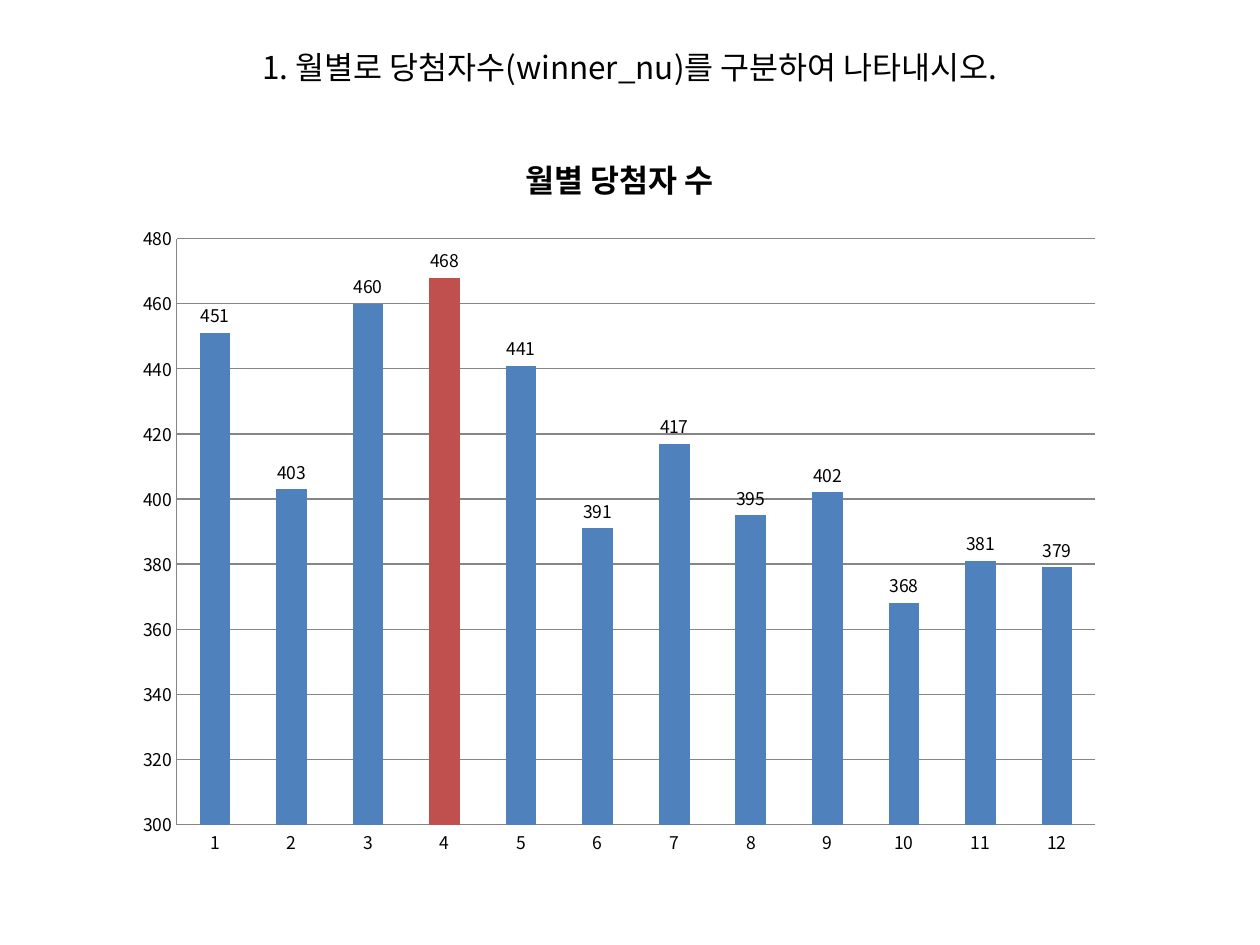
import dataclasses
import pptx
import pptx.chart.data
import pptx.dml.color
import pptx.enum.chart
import pptx.enum.text
import pptx.oxml
import pptx.oxml.ns
import pptx.util
from pptx.util import Inches


@dataclasses.dataclass(frozen=True)
class Theme:
    """Colours, typeface and type sizes of the slide."""
    font: str = "Noto Sans CJK KR"
    text: str = "000000"
    bar: str = "4F81BD"
    highlight: str = "C0504D"
    line: str = "868686"
    heading_size: int = 18
    label_size: int = 10


THEME = Theme()
WINNERS = (451, 403, 460, 468, 441, 391, 417, 395, 402, 368, 381, 379)


def colour(value):
    """Return an RGB colour for a hex value."""
    return pptx.dml.color.RGBColor.from_string(value)


def style_font(font, size, bold=False):
    """Apply the theme typeface and colour at the given size."""
    font.name = THEME.font
    font.size = pptx.util.Pt(size)
    font.bold = bold
    font.color.rgb = colour(THEME.text)


def add_east_asian_fonts(root):
    """Give every Latin typeface under root a matching East Asian one."""
    for latin in list(root.iter(pptx.oxml.ns.qn("a:latin"))):
        east_asian = pptx.oxml.parse_xml(
            f'<a:ea {pptx.oxml.ns.nsdecls("a")} typeface="{THEME.font}"/>')
        latin.addnext(east_asian)


def write_text(frame, text, size, bold=False, align=None):
    """Write one formatted paragraph into a text frame."""
    para = frame.paragraphs[0]
    para.alignment = align
    span = para.add_run()
    span.text = text
    style_font(span.font, size, bold)


def add_text(page, text, left, top, width, height, **text_format):
    """Add a wrapping text box."""
    box = page.shapes.add_textbox(left, top, width, height)
    box.text_frame.word_wrap = True
    box.text_frame.auto_size = pptx.enum.text.MSO_AUTO_SIZE.SHAPE_TO_FIT_TEXT
    write_text(box.text_frame, text, **text_format)
    add_east_asian_fonts(box.element)


def style_line(line):
    """Draw a thin grey chart line."""
    line.color.rgb = colour(THEME.line)
    line.width = pptx.util.Pt(0.75)


def style_axes(chart):
    """Set the scale, gridlines and lines of both axes."""
    value_axis = chart.value_axis
    value_axis.minimum_scale = 300
    value_axis.maximum_scale = 480
    value_axis.major_unit = 20
    value_axis.has_major_gridlines = True
    style_line(value_axis.major_gridlines.format.line)
    for axis in (value_axis, chart.category_axis):
        axis.major_tick_mark = pptx.enum.chart.XL_TICK_MARK.NONE
        axis.minor_tick_mark = pptx.enum.chart.XL_TICK_MARK.NONE
        style_line(axis.format.line)


def add_column_chart(page, title, values, left, top, width, height):
    """Add a monthly column chart with its highest month highlighted."""
    chart_data = pptx.chart.data.CategoryChartData()
    chart_data.categories = [str(month) for month in range(1, len(values) + 1)]
    chart_data.add_series("Series 1", values)
    chart = page.shapes.add_chart(
        pptx.enum.chart.XL_CHART_TYPE.COLUMN_CLUSTERED,
        left, top, width, height, chart_data).chart
    style_font(chart.font, THEME.label_size)
    chart.has_legend = False
    chart.has_title = True
    write_text(chart.chart_title.text_frame, title, THEME.heading_size, bold=True)
    chart.chart_title.include_in_layout = False
    style_axes(chart)
    plot = chart.plots[0]
    plot.gap_width = 150
    plot.vary_by_categories = False
    series = plot.series[0]
    series.invert_if_negative = False
    series.format.fill.solid()
    series.format.fill.fore_color.rgb = colour(THEME.bar)
    peak = series.points[values.index(max(values))].format.fill
    peak.solid()
    peak.fore_color.rgb = colour(THEME.highlight)
    labels = series.data_labels
    labels.show_value = True
    labels.position = pptx.enum.chart.XL_LABEL_POSITION.OUTSIDE_END
    style_font(labels.font, THEME.label_size)
    add_east_asian_fonts(chart.element)


def main():
    """Build and save the slide."""
    deck = pptx.Presentation()
    deck.slide_width, deck.slide_height = Inches(10), Inches(7.5)
    page = deck.slides.add_slide(deck.slide_layouts[6])
    add_column_chart(page, "월별 당첨자 수", WINNERS,
                     Inches(0.98), Inches(0.99), Inches(7.87), Inches(5.91))
    add_text(page, "1. 월별로 당첨자수(winner_nu)를 구분하여 나타내시오.",
             Inches(0), Inches(0.33), Inches(10), Inches(0.4),
             size=THEME.heading_size, align=pptx.enum.text.PP_ALIGN.CENTER)
    deck.save("out.pptx")


main()
